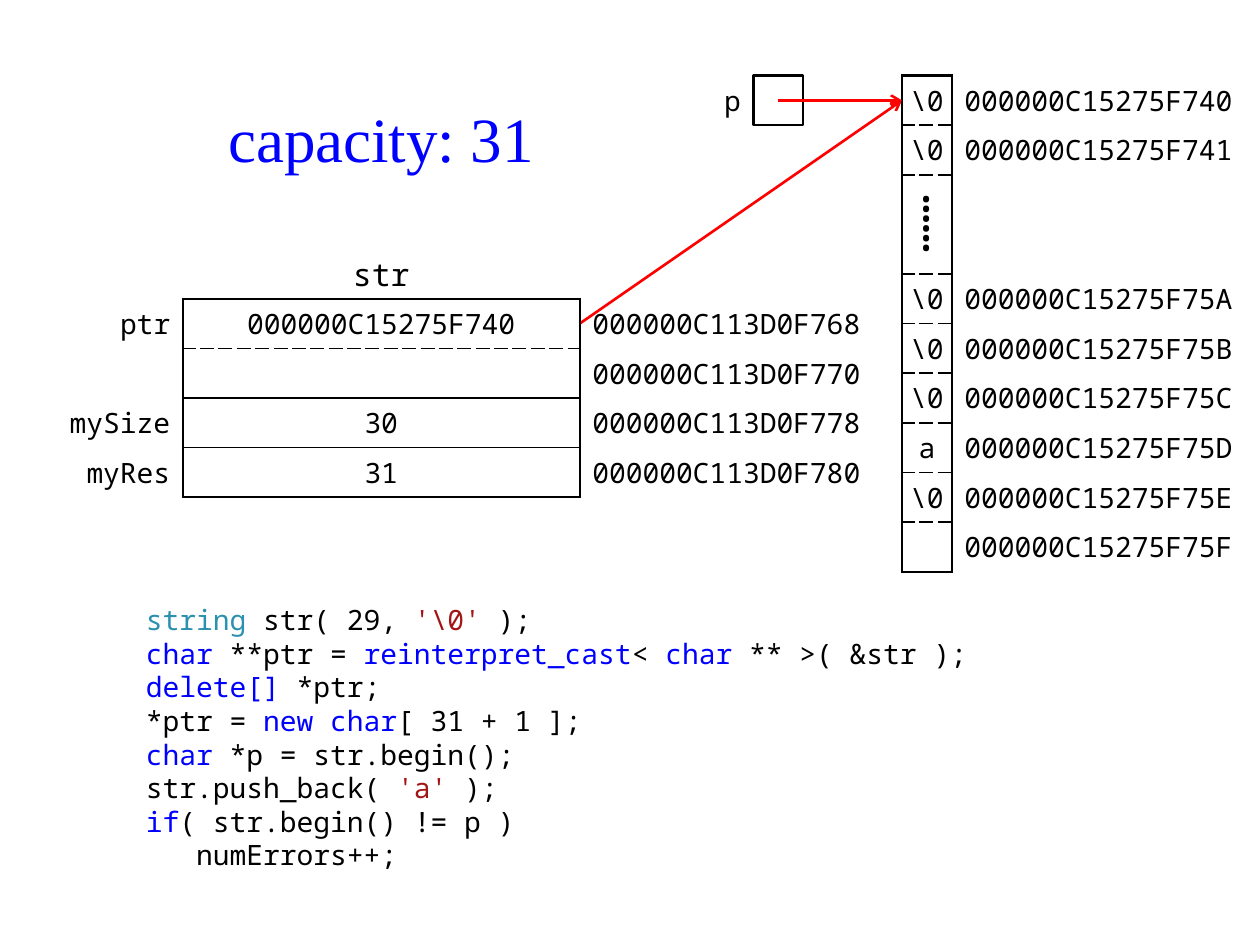
from lxml import etree
from pptx import Presentation
from pptx import util as u
from pptx.dml.color import RGBColor
from pptx.enum import shapes, text
from pptx.oxml import ns

BLACK = RGBColor(0, 0, 0)
BLUE = RGBColor(0, 0, 255)
RED = RGBColor(255, 0, 0)
TEAL = RGBColor(0x2B, 0x91, 0xAF)
BRICK = RGBColor(0xA3, 0x15, 0x15)
MONO, SERIF = "Noto Sans Mono", "Times New Roman"
LEFT, MID, RIGHT = text.PP_ALIGN.LEFT, text.PP_ALIGN.CENTER, text.PP_ALIGN.RIGHT
UNIT = u.Cm(1)
X0, Y0 = u.Inches(0.27), u.Inches(0.6)
SOLID, THIN, DASH = (1.5, "solid"), (1, "solid"), (1, "sysDash")

CODE = [
    [("string ", TEAL), ("str( 29, ", BLACK), ("'\\0' ", BRICK), (");", BLACK)],
    [("char ", BLUE), ("**ptr = ", BLACK), ("reinterpret_cast", BLUE),
     ("< ", BLACK), ("char", BLUE), (" ** >( &str );", BLACK)],
    [("delete[] ", BLUE), ("*ptr;", BLACK)],
    [("*ptr = ", BLACK), ("new char", BLUE), ("[ 31 + 1 ];", BLACK)],
    [("char", BLUE), (" *p = str.begin();", BLACK)],
    [("str.push_back( ", BLACK), ("'a'", BRICK), (" );", BLACK)],
    [("if", BLUE), ("( str.begin() != p )", BLACK)],
    [("   numErrors++;", BLACK)],
]
FIELDS = [
    ("ptr", "000000C15275F740", "000000C113D0F768"),
    ("", "", "000000C113D0F770"),
    ("mySize", "30", "000000C113D0F778"),
    ("myRes", "31", "000000C113D0F780"),
]
BYTES = [
    ("\\0", "000000C15275F740"), ("\\0", "000000C15275F741"),
    ("⸽", ""), ("", ""),
    ("\\0", "000000C15275F75A"), ("\\0", "000000C15275F75B"),
    ("\\0", "000000C15275F75C"), ("a", "000000C15275F75D"),
    ("\\0", "000000C15275F75E"), ("", "000000C15275F75F"),
]


def spot(col, row):
    """Turn a grid column and row into slide coordinates."""
    return int(X0 + col * UNIT), int(Y0 + row * UNIT)


def area(col, row, wide, high):
    return (*spot(col, row), int(wide * UNIT), int(high * UNIT))


def place(shape, box):
    shape.left, shape.top, shape.width, shape.height = area(*box)


def write(para, words, size=16, face=MONO, color=BLACK):
    run = para.add_run()
    run.text = words
    run.font.size, run.font.name = u.Pt(size), face
    run.font.color.rgb = color


def heading(slide, box):
    title = slide.shapes.title
    place(title, box)
    title.text_frame.vertical_anchor = text.MSO_ANCHOR.MIDDLE
    para = title.text_frame.paragraphs[0]
    para.alignment = MID
    write(para, "capacity: 31", 36, SERIF, BLUE)


def listing(slide, box):
    body = slide.placeholders[1]
    place(body, box)
    frame = body.text_frame
    frame.auto_size = text.MSO_AUTO_SIZE.NONE
    for i, line in enumerate(CODE):
        para = frame.paragraphs[0] if i == 0 else frame.add_paragraph()
        para.line_spacing = u.Pt(19.2)
        para.space_before = para.space_after = u.Pt(0)
        props = para._p.get_or_add_pPr()
        props.set("marL", "0")
        props.set("indent", "0")
        etree.SubElement(props, ns.qn("a:buNone"))
        for words, color in line:
            write(para, words, color=color)


def label(slide, box, words, align, size):
    frame = slide.shapes.add_textbox(*area(*box)).text_frame
    frame.word_wrap = True
    frame.vertical_anchor = text.MSO_ANCHOR.MIDDLE
    frame.paragraphs[0].alignment = align
    write(frame.paragraphs[0], words, size)


def arrow(slide, start, end):
    line = slide.shapes.add_connector(
        shapes.MSO_CONNECTOR.STRAIGHT, *spot(*start), *spot(*end))
    line.line.color.rgb, line.line.width = RED, u.Pt(1.5)
    etree.SubElement(line.line._get_or_add_ln(), ns.qn("a:tailEnd"), type="arrow")
    etree.SubElement(line._element.spPr, ns.qn("a:effectLst"))


def edge(cell, sides):
    """Draw the given sides (L, R, T, B) of a cell."""
    props = cell._tc.get_or_add_tcPr()
    for side in "LRTB":
        width, dash = sides[side]
        ln = etree.SubElement(props, ns.qn("a:ln" + side), w=str(u.Pt(width)))
        fill = etree.SubElement(ln, ns.qn("a:solidFill"))
        etree.SubElement(fill, ns.qn("a:srgbClr"), val=str(BLACK))
        etree.SubElement(ln, ns.qn("a:prstDash"), val=dash)


def memory(slide, at, rows, cols, aligns, boxed, rules, pad):
    """Place a table whose column `boxed` is framed and split by `rules`."""
    box = area(*at, sum(cols), len(rows))
    table = slide.shapes.add_table(len(rows), len(cols), *box).table
    table.first_row = table.horz_banding = False
    style = table._tbl.tblPr.find(ns.qn("a:tableStyleId"))
    style.text = "{2D5ABB26-0587-4C30-8999-92F81FD0307C}"
    for col, wide in zip(table.columns, cols):
        col.width = int(wide * UNIT)
    for r, row in enumerate(rows):
        table.rows[r].height = UNIT
        for c, words in enumerate(row):
            cell = table.cell(r, c)
            if c == boxed:
                edge(cell, dict(L=SOLID, R=SOLID, T=rules[r], B=rules[r + 1]))
            cell.fill.background()
            cell.vertical_anchor = text.MSO_ANCHOR.MIDDLE
            side, lip = (pad, min(pad, 0.04)) if c == boxed else (0.1, 0.04)
            cell.margin_left = cell.margin_right = u.Inches(side)
            cell.margin_top = cell.margin_bottom = u.Inches(lip)
            para = cell.text_frame.paragraphs[0]
            para.alignment = aligns[c]
            if words == "⸽":
                write(para, words, 28, SERIF)
            elif words:
                write(para, words)
    return table


def record(slide, col, row):
    """The string object: its name, fields and addresses."""
    label(slide, (col + 5, row - 1, 4, 1), "str", MID, 18)
    memory(slide, (col, row), FIELDS, (3, 8, 6), (RIGHT, MID, LEFT), 1,
           [SOLID, DASH, THIN, THIN, SOLID], 0.08)


def buffer(slide, col, row):
    """The column of bytes with their addresses."""
    rules = [SOLID] + [DASH] * (len(BYTES) - 1) + [SOLID]
    table = memory(slide, (col, row), BYTES, (1, 6), (MID, LEFT), 0, rules, 0)
    table.cell(2, 0).merge(table.cell(3, 0))


def pointer(slide, col, row):
    box = slide.shapes.add_shape(shapes.MSO_SHAPE.RECTANGLE, *area(col, row, 1, 1))
    box.shadow.inherit = False
    box.fill.background()
    box.line.color.rgb, box.line.width = BLACK, u.Pt(1.5)
    label(slide, (col - 1, row, 1, 1), "p", RIGHT, 16)


def main():
    deck = Presentation()
    deck.slide_width, deck.slide_height = u.Inches(10), u.Inches(7.5)
    slide = deck.slides.add_slide(deck.slide_layouts[1])
    heading(slide, (3.5, 0, 7, 2.5))
    listing(slide, (2, 10.5, 17.5, 6))
    first = (17.5, 0.5)
    arrow(slide, (11, 5), first)
    record(slide, 0, 4.5)
    buffer(slide, 17.5, 0)
    pointer(slide, 14.5, 0)
    arrow(slide, (15, 0.5), first)
    deck.save("out.pptx")


if __name__ == "__main__":
    main()
